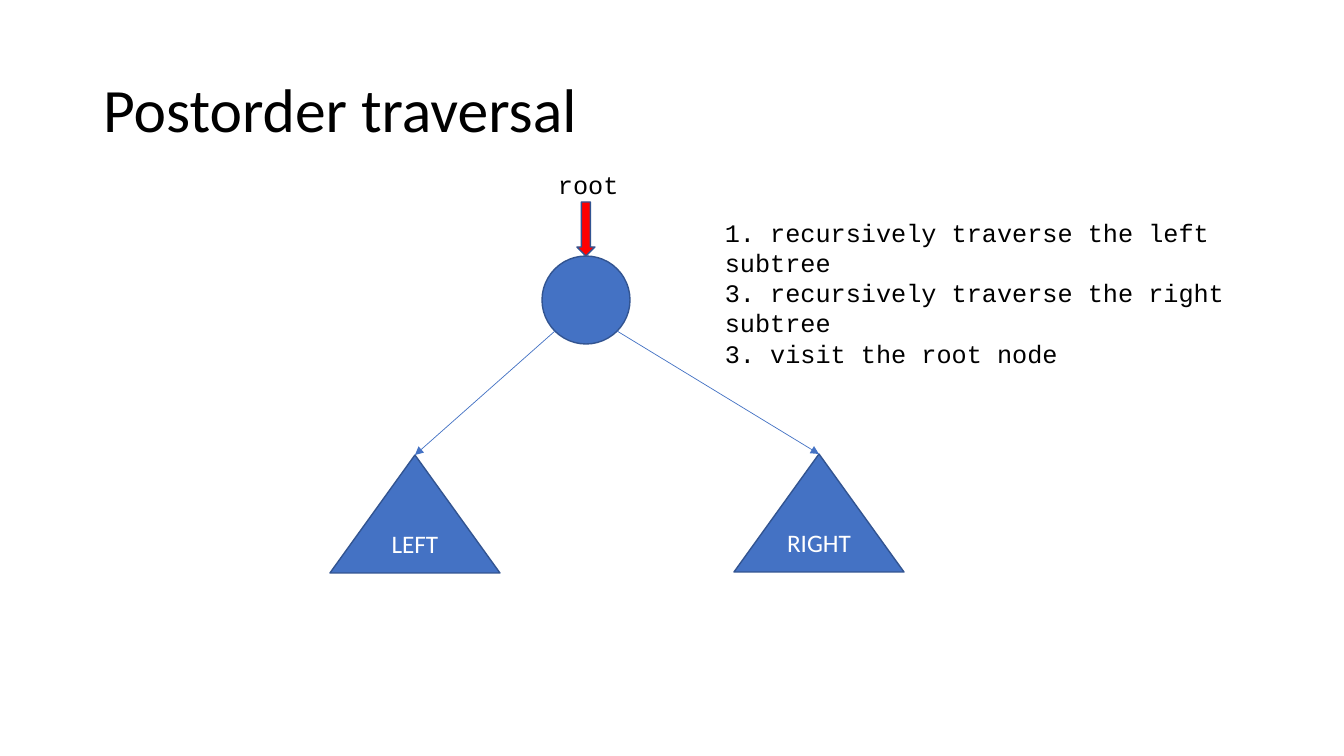
from pptx import Presentation
from pptx.dml.color import RGBColor as RGB
from pptx.enum.shapes import MSO_CONNECTOR as CONN, MSO_SHAPE as SHAPE
from pptx.enum.text import MSO_ANCHOR as ANCHOR, MSO_AUTO_SIZE as FIT, PP_ALIGN as ALIGN
from pptx.oxml.ns import qn
from pptx.util import Pt
from lxml.etree import SubElement as Sub

PX = 914400 / 100.8
COLORS = {"blue": "4472C4", "edge": "325491", "red": "FF0000",
          "black": "000000", "white": "FFFFFF"}


def place(*sizes):
    """Turn px lengths into EMU."""
    return [round(size * PX) for size in sizes]


def style(para, face, size, color):
    for run in para.runs:
        run.font.name = face
        run.font.size = Pt(size)
        run.font.color.rgb = RGB.from_string(COLORS[color])


deck = Presentation()
deck.slide_width, deck.slide_height = place(1344, 756)
slide = deck.slides.add_slide(deck.slide_layouts[5])
shapes = slide.shapes

title = shapes.title
title.left, title.top, title.width, title.height = place(93, 40, 1159, 146)
frame = title.text_frame
frame.text = "Postorder traversal"
frame.vertical_anchor = ANCHOR.MIDDLE
frame.word_wrap = True
head = frame.paragraphs[0]
head.alignment = ALIGN.LEFT
head.line_spacing = 0.9
style(head, "Calibri", 44, "black")

# Root node, its pointer and the two subtrees
for kind, box, fill, label in (
    (SHAPE.OVAL, (542, 256, 88, 88), "blue", ""),
    (SHAPE.DOWN_ARROW, (577, 202, 18, 54), "red", ""),
    (SHAPE.ISOSCELES_TRIANGLE, (330, 455, 170, 118), "blue", "LEFT"),
    (SHAPE.ISOSCELES_TRIANGLE, (734, 454, 170, 118), "blue", "RIGHT"),
):
    node = shapes.add_shape(kind, *place(*box))
    node.shadow.inherit = False
    node.fill.solid()
    node.fill.fore_color.rgb = RGB.from_string(COLORS[fill])
    node.line.color.rgb = RGB.from_string(COLORS["edge"])
    node.line.width = Pt(1)
    if label:
        frame = node.text_frame
        frame.text = label
        frame.vertical_anchor = ANCHOR.MIDDLE
        frame.paragraphs[0].alignment = ALIGN.CENTER
        style(frame.paragraphs[0], "Calibri", 18, "white")

# Links from the root to the top of each subtree
for ends in ((555, 331, 415, 455), (617, 331, 819, 454)):
    link = shapes.add_connector(CONN.STRAIGHT, *place(*ends))
    link.line.color.rgb = RGB.from_string(COLORS["blue"])
    link.line.width = Pt(0.5)
    Sub(link.line._get_or_add_ln(), qn("a:tailEnd"), type="triangle")
    Sub(link._element.spPr, qn("a:effectLst"))

for box, lines in (
    ((548, 164, 103, 40), ["root"]),
    ((715, 212, 604, 102), ["1. recursively traverse the left subtree",
                            "3. recursively traverse the right subtree",
                            "3. visit the root node"]),
):
    frame = shapes.add_textbox(*place(*box)).text_frame
    frame.word_wrap = True
    frame.auto_size = FIT.SHAPE_TO_FIT_TEXT
    frame.text = "\n".join(lines)
    for para in frame.paragraphs:
        style(para, "Courier New", 18, "black")

deck.save("out.pptx")
